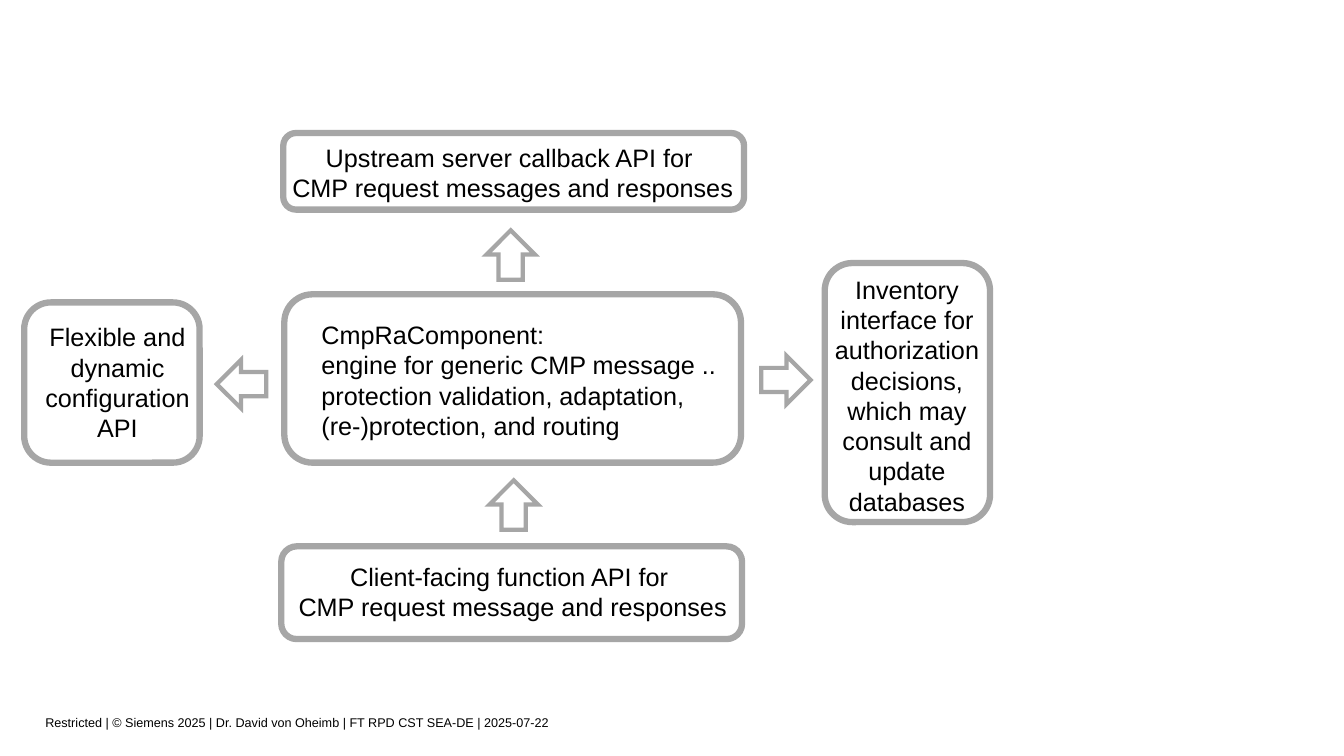
from lxml import etree
from pptx import Presentation
from pptx.dml.color import RGBColor
from pptx.enum import shapes, text
from pptx.oxml.ns import qn
from pptx.util import Inches, Pt

COLORS = {"outline": "A6A6A6", "text": "000000"}
LEFT, CENTER = text.PP_ALIGN.LEFT, text.PP_ALIGN.CENTER

deck = Presentation()
deck.slide_width, deck.slide_height = Inches(13.33), Inches(7.5)
slide = deck.slides.add_slide(deck.slide_layouts[6])


def add_outline(kind, place, weight):
    outline = slide.shapes.add_shape(kind, *map(Inches, place))
    outline.shadow.inherit = False
    outline.fill.background()
    outline.line.color.rgb = RGBColor.from_string(COLORS["outline"])
    outline.line.width = Pt(weight)
    # Sharp corners where the outline turns
    etree.SubElement(outline.line._get_or_add_ln(), qn("a:miter"), lim="800000")
    return outline


def add_label(place, paragraphs, size, align, margins):
    frame = slide.shapes.add_textbox(*map(Inches, place)).text_frame
    frame.word_wrap = True
    frame.margin_left, frame.margin_top, frame.margin_right, frame.margin_bottom = map(Inches, margins)
    frame.text = "\n".join(paragraphs)
    for paragraph in frame.paragraphs:
        paragraph.alignment = align
        paragraph.font.size = Pt(size)
        paragraph.font.name = "Arial"
        paragraph.font.color.rgb = RGBColor.from_string(COLORS["text"])
    return frame


# Footer
footer = add_label((0.45, 6.9, 10.16, 0.6),
                   ["Restricted | © Siemens 2025 | Dr. David von Oheimb | FT RPD CST SEA-DE | 2025-07-22"],
                   9, LEFT, (0, 0, 0, 0.07))
footer.vertical_anchor = text.MSO_ANCHOR.MIDDLE

# Components: outline place, label place, paragraphs (\v breaks a line), alignment, margin
components = [
    ((2.82, 2.92, 4.53, 1.67), (3.09, 3.12, 4.14, 1.31),
     ["CmpRaComponent:\vengine for generic CMP message ..",
      "protection validation, adaptation, \v(re-)protection, and routing"], LEFT, (0.1, 0.05)),
    ((2.79, 5.42, 4.57, 0.92), (2.81, 5.57, 4.55, 0.61),
     ["Client-facing function API for \vCMP request message and responses"], CENTER, (0, 0)),
    ((8.18, 2.61, 1.64, 2.57), (8.27, 2.72, 1.45, 2.42),
     ["Inventory interface for authorization decisions, which may consult and update databases"],
     CENTER, (0, 0)),
    ((2.81, 1.32, 4.57, 0.76), (2.84, 1.41, 4.49, 0.61),
     ["Upstream server callback API for \vCMP request messages and responses"], CENTER, (0, 0)),
    ((0.24, 3, 1.74, 1.59), (0.36, 3.19, 1.61, 1.21),
     ["Flexible and dynamic configuration API"], CENTER, (0, 0)),
]
for box, label, paragraphs, align, margin in components:
    add_outline(shapes.MSO_SHAPE.ROUNDED_RECTANGLE, box, 4.5)
    add_label(label, paragraphs, 18, align, margin * 2)

# Arrows between the components: left, top, rotation
for left, top, rotation in [(7.55, 3.53, 0), (2.15, 3.57, 180), (4.82, 2.29, 270), (4.85, 4.77, 270)]:
    arrow = add_outline(shapes.MSO_SHAPE.RIGHT_ARROW, (left, top, 0.49, 0.48), 3)
    arrow.rotation = rotation

deck.save("out.pptx")
